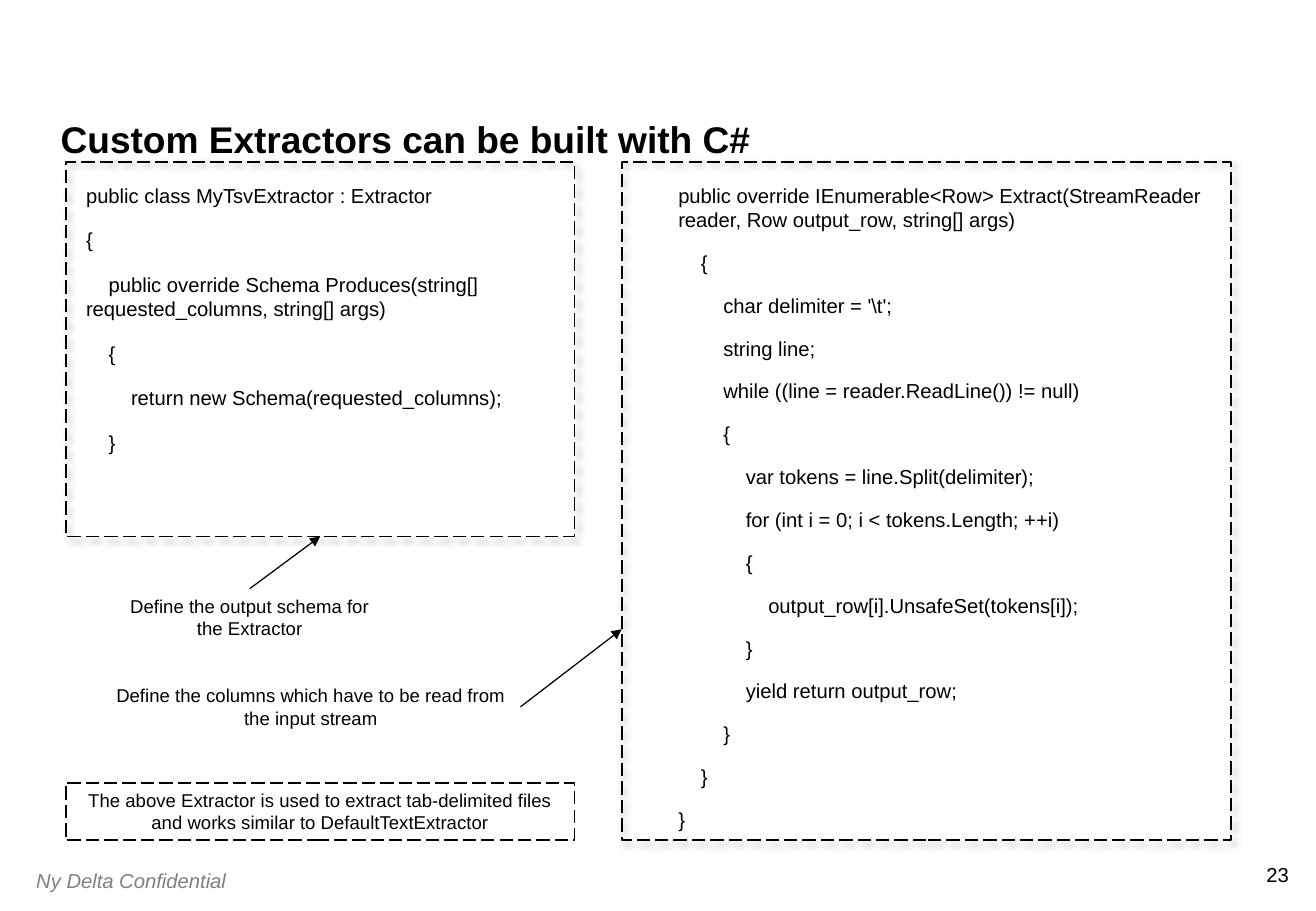
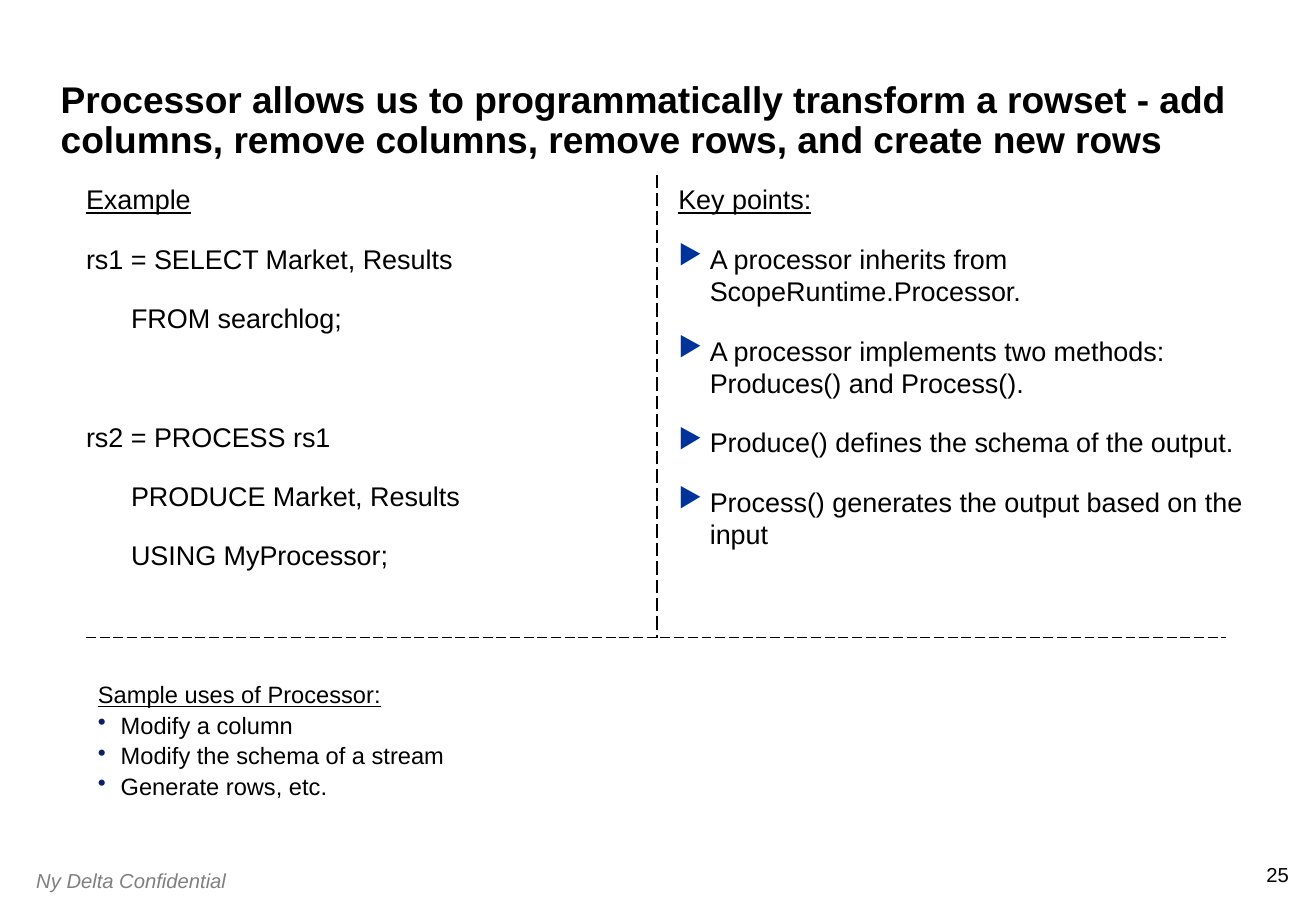
"""Build two slides on custom extractors and processors."""
from lxml import etree
from pptx import Presentation
from pptx.dml.color import RGBColor
from pptx.enum import dml, shapes, text
from pptx.oxml import ns
from pptx.util import Pt

rgb = RGBColor.from_string
BLACK, GREY, BLUE, NAVY = "000000", "808080", "003399", "0B1F65"
LEFT, RIGHT, CENTER = text.PP_ALIGN.LEFT, text.PP_ALIGN.RIGHT, text.PP_ALIGN.CENTER
DASH = dml.MSO_LINE.LONG_DASH


def write(slide, area, lines, size, gap=0, pad=(0, 0), align=LEFT, color=BLACK,
          step=0, mark=None, box=None):
    """Write (level, words) lines into an area and return shape and paragraphs."""
    box = box or slide.shapes.add_textbox(*map(Pt, area))
    frame = box.text_frame
    frame.word_wrap = True
    frame.vertical_anchor = text.MSO_ANCHOR.TOP
    frame.margin_left = frame.margin_right = Pt(pad[0])
    frame.margin_top = frame.margin_bottom = Pt(pad[1])
    paras = []
    for num, (level, words) in enumerate(lines):
        para = frame.add_paragraph() if num else frame.paragraphs[0]
        para.text = words
        props = para._p.get_or_add_pPr()
        if mark and num:
            sign, tint, hang = mark
            props.set("marL", str(Pt(hang)))
            props.set("indent", str(-Pt(hang)))
            fill = etree.SubElement(props, ns.qn("a:buClr"))
            etree.SubElement(fill, ns.qn("a:srgbClr"), val=tint)
            etree.SubElement(props, ns.qn("a:buChar"), char=sign)
        elif level:
            props.set("marL", "0")
            props.set("indent", str(Pt(level * step)))
        para.alignment = align
        para.space_before = Pt(gap)
        para.font.name, para.font.size = "Arial", Pt(size)
        para.font.color.rgb = rgb(color)
        paras.append(para)
    return box, paras


def rule(slide, start, end, width, dash=None):
    """Draw a straight black line and return it."""
    line = slide.shapes.add_connector(
        shapes.MSO_CONNECTOR.STRAIGHT, *map(Pt, start + end))
    line.line.color.rgb = rgb(BLACK)
    line.line.width = Pt(width)
    if dash:
        line.line.dash_style = dash
    etree.SubElement(line._element.spPr, ns.qn("a:effectLst"))
    return line


deck = Presentation()
deck.slide_width, deck.slide_height = Pt(780), Pt(540)
pages = []
for num, head in (
    ("23", "Custom Extractors can be built with C#"),
    ("25", "Processor allows us to programmatically transform a rowset - add "
           "columns, remove columns, remove rows, and create new rows"),
):
    page = deck.slides.add_slide(deck.slide_layouts[6])
    write(page, (714, 511, 50, 14.5), [(0, num)], 12, align=RIGHT)
    foot, paras = write(page, (14.4, 511, 144, 21.6), [(0, "Ny Delta Confidential")],
                        12, 1.2, (7.2, 3.6), color=GREY)
    paras[0].font.italic = True
    title, paras = write(page, (36, 30, 708, 66), [(0, head)], 22)
    title.text_frame.vertical_anchor = text.MSO_ANCHOR.BOTTOM
    paras[0].font.bold = True
    paras[0].line_spacing = 0.9
    pages.append(page)
code, proc = pages

BODY = [(x, 108.5, 339, 330) for x in (51, 402)]
schema = [
    (0, "public class MyTsvExtractor : Extractor"),
    (0, "{"),
    (1, "public override Schema Produces(string[] requested_columns, string[] args)"),
    (1, "{"),
    (2, "return new Schema(requested_columns);"),
    (1, "}"),
]
reader = [
    (0, "public override IEnumerable<Row> Extract(StreamReader reader, "
        "Row output_row, string[] args)"),
    (1, "{"),
    (2, "char delimiter = '\\t';"),
    (2, "string line;"),
    (2, "while ((line = reader.ReadLine()) != null)"),
    (2, "{"),
    (3, "var tokens = line.Split(delimiter);"),
    (3, "for (int i = 0; i < tokens.Length; ++i)"),
    (3, "{"),
    (4, "output_row[i].UnsafeSet(tokens[i]);"),
    (3, "}"),
    (3, "yield return output_row;"),
    (2, "}"),
    (1, "}"),
    (0, "}"),
]
for area, lines, gap in zip(BODY, (schema, reader), (12, 11)):
    write(code, area, lines, 12, gap, step=13.34)

frames = []
for area, shade in (
    ((39, 96, 301.5, 222), True),
    ((368.5, 96, 361, 402), True),
    ((39, 464, 301.5, 34), False),
):
    rect = code.shapes.add_shape(shapes.MSO_SHAPE.RECTANGLE, *map(Pt, area))
    rect.fill.background()
    rect.line.color.rgb = rgb(BLACK)
    rect.line.width = Pt(1)
    rect.line.dash_style = DASH
    rect.shadow.inherit = False
    if shade:
        glow = etree.SubElement(
            rect._element.spPr.find(ns.qn("a:effectLst")), ns.qn("a:outerShdw"),
            blurRad=str(Pt(4)), dist=str(Pt(3)), dir="2700000",
            algn="tl", rotWithShape="0")
        tint = etree.SubElement(glow, ns.qn("a:srgbClr"), val=BLACK)
        etree.SubElement(tint, ns.qn("a:alpha"), val="40000")
    frames.append(rect)

notes = []
for area, words, box in (
    ((64, 349, 168, 34), "Define the output schema for the Extractor", None),
    ((60, 402, 248.5, 34),
     "Define the columns which have to be read from the input stream", None),
    (None, "The above Extractor is used to extract tab-delimited files and works "
           "similar to DefaultTextExtractor", frames[2]),
):
    note, paras = write(code, area, [(0, words)], 11, 1.1, (7.2, 3.6), CENTER, box=box)
    notes.append(note)

up = rule(code, (148, 349), (189.75, 318), 0.75)
up.begin_connect(notes[0], 0)
up.end_connect(frames[0], 2)
side = rule(code, (308.5, 419), (368.5, 373), 0.75)
side.begin_connect(notes[1], 3)
for arrow in (up, side):
    etree.SubElement(arrow.line._get_or_add_ln(), ns.qn("a:tailEnd"), type="triangle")

query = [
    (0, "Example"),
    (0, "rs1 = SELECT Market, Results"),
    (1, "FROM searchlog;"),
    (0, "rs2 = PROCESS rs1"),
    (1, "PRODUCE Market, Results"),
    (1, "USING MyProcessor;"),
]
points = [
    (0, "Key points:"),
    (0, "A processor inherits from ScopeRuntime.Processor."),
    (0, "A processor implements two methods: Produces() and Process()."),
    (0, "Produce() defines the schema of the output."),
    (0, "Process() generates the output based on the input"),
]
uses = [
    (0, "Sample uses of Processor:"),
    (0, "Modify a column"),
    (0, "Modify the schema of a stream"),
    (0, "Generate rows, etc."),
]
left = write(proc, BODY[0], query, 16, 16, step=26.68)[1]
left[3].space_before = Pt(51)
right = write(proc, BODY[1], points, 16, 16, mark=("▶", BLUE, 18.7))[1]
rule(proc, (389.5, 103.5), (389.5, 378), 1, DASH)
low = write(proc, (51, 399.5, 690, 80), uses, 14, 1.4, (7.2, 3.6),
            mark=("•", NAVY, 13.5))[1]
rule(proc, (51, 378), (726.5, 378), 0.75, DASH)
for paras in (left, right, low):
    paras[0].font.underline = True

deck.save("out.pptx")
